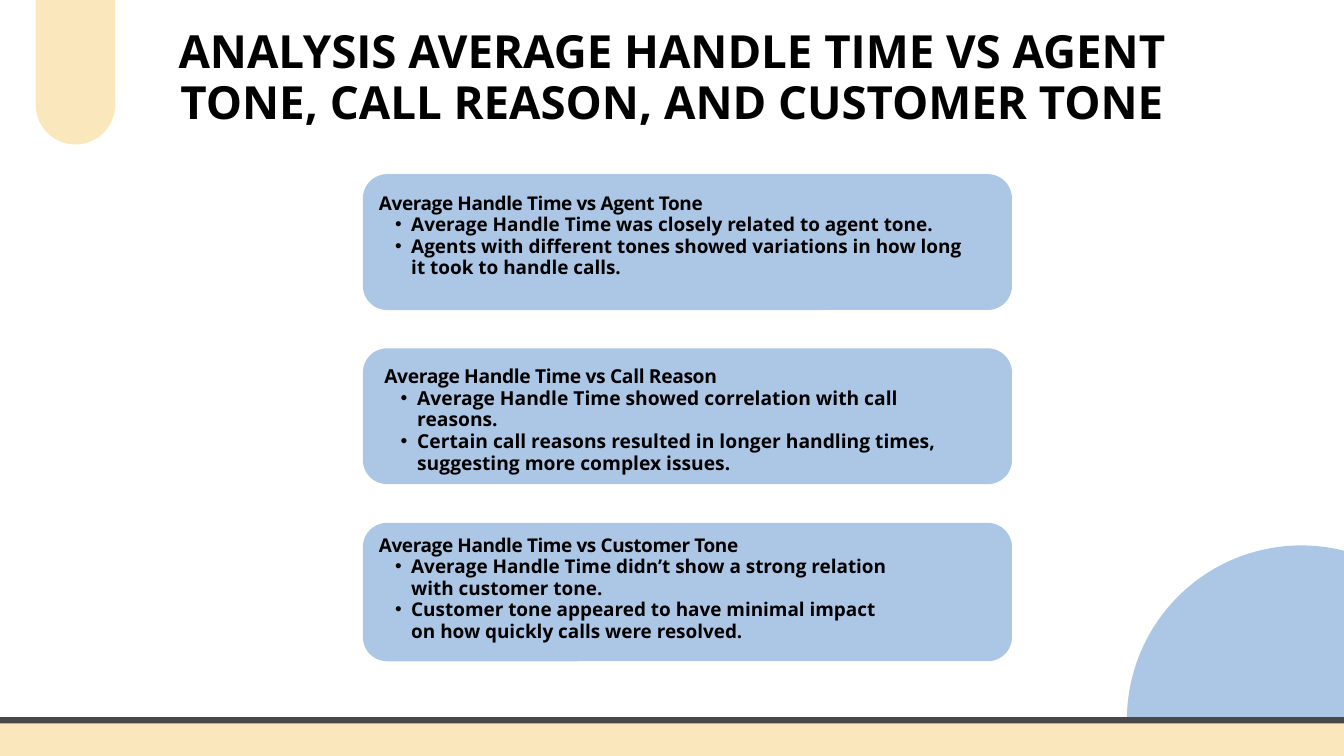
import pptx
import pptx.dml.color
import pptx.enum.shapes
import pptx.enum.text
import pptx.oxml
import pptx.oxml.ns
import pptx.util

Pt = pptx.util.Pt
Shape = pptx.enum.shapes.MSO_SHAPE
BLUE, CREAM, GREY, BLACK = "ACC7E6", "FAE7BC", "494848", "000000"

# Card top and height; text left, top, width, height; size, leading, indent; heading; bullets
CARDS = [
    ((186.6, 145.6), (406, 206.6, 627, 113), (20.3, 22.9, 34.6),
     "Average Handle Time vs Agent Tone",
     ["Average Handle Time was closely related to agent tone.",
      "Agents with different tones showed variations in how long it took to handle calls."]),
    ((373.2, 145.6), (411.8, 391.7, 616.3, 139), (20.6, 23.3, 35.2),
     "Average Handle Time vs Call Reason",
     ["Average Handle Time showed correlation with call reasons.",
      "Certain call reasons resulted in longer handling times, suggesting more complex issues."]),
    ((560.2, 148.3), (406, 573.1, 561.6, 135.4), (20.3, 22.9, 34.6),
     "Average Handle Time vs Customer Tone",
     ["Average Handle Time didn’t show a strong relation with customer tone.",
      "Customer tone appeared to have minimal impact on how quickly calls were resolved."]),
]


def color(value):
    return pptx.dml.color.RGBColor.from_string(value)


def write(para, text, size, leading, tracking=0, align=None):
    para.line_spacing = Pt(leading)
    para.alignment = align
    span = para.add_run()
    span.text = text
    span.font.name = "Open Sans"
    span.font.size = Pt(size)
    span.font.bold = True
    span.font.color.rgb = color(BLACK)
    if tracking:
        span.font._element.set("spc", str(round(tracking * 100)))


def add_bullet(para, indent):
    para.level = 1
    properties = para._p.get_or_add_pPr()
    properties.set("marL", str(Pt(indent)))
    properties.set("indent", str(-Pt(indent / 2)))
    namespace = pptx.oxml.ns.nsdecls("a")
    for tag in ('buFont {} typeface="Arial"', 'buChar {} char="•"'):
        properties.append(pptx.oxml.parse_xml(f"<a:{tag.format(namespace)}/>"))


class Page:
    """The slide being built, with the style its elements share."""

    def __init__(self, deck):
        self.shapes = deck.slides.add_slide(deck.slide_layouts[6]).shapes

    def shape(self, kind, bounds, fill, radius=None, line=None, line_width=0):
        shape = self.shapes.add_shape(kind, *map(Pt, bounds))
        shape.shadow.inherit = False
        shape.fill.solid()
        shape.fill.fore_color.rgb = color(fill)
        if radius is not None:
            shape.adjustments[0] = radius / min(bounds[2:])
        if line:
            shape.line.color.rgb = color(line)
            shape.line.width = Pt(line_width)
        else:
            shape.line.fill.background()

    def text_frame(self, bounds):
        frame = self.shapes.add_textbox(*map(Pt, bounds)).text_frame
        frame.word_wrap = True
        frame.auto_size = pptx.enum.text.MSO_AUTO_SIZE.SHAPE_TO_FIT_TEXT
        frame.margin_left = frame.margin_right = 0
        frame.margin_top = frame.margin_bottom = 0
        return frame

    def title(self, text, bounds):
        para = self.text_frame(bounds).paragraphs[0]
        write(para, text, size=48.9, leading=55.3,
              align=pptx.enum.text.PP_ALIGN.CENTER)

    def card(self, extent, bounds, measures, heading, bullets):
        top, height = extent
        size, leading, indent = measures
        self.shape(Shape.ROUNDED_RECTANGLE, (388.8, top, 695.5, height), BLUE, radius=26)
        frame = self.text_frame(bounds)
        write(frame.paragraphs[0], heading, size=size, leading=leading, tracking=-0.4)
        for text in bullets:
            para = frame.add_paragraph()
            add_bullet(para, indent)
            write(para, text, size=size, leading=leading)


def main():
    deck = pptx.Presentation()
    deck.slide_width, deck.slide_height = Pt(1440), Pt(810)
    page = Page(deck)
    page.shape(Shape.OVAL, (1207.4, 584.4, 374, 374), BLUE)
    page.title("ANALYSIS AVERAGE HANDLE TIME VS AGENT TONE, CALL REASON, AND CUSTOMER TONE",
               (154, 27.4, 1132, 110.2))
    for card in CARDS:
        page.card(*card)
    page.shape(Shape.ROUNDED_RECTANGLE, (38.2, -77.8, 85.2, 232.6), CREAM, radius=42.6)
    page.shape(Shape.ROUNDED_RECTANGLE, (-41.8, 771.8, 1523.6, 64.8), CREAM,
               radius=6.5, line=GREY, line_width=6.75)
    deck.save("out.pptx")


if __name__ == "__main__":
    main()
